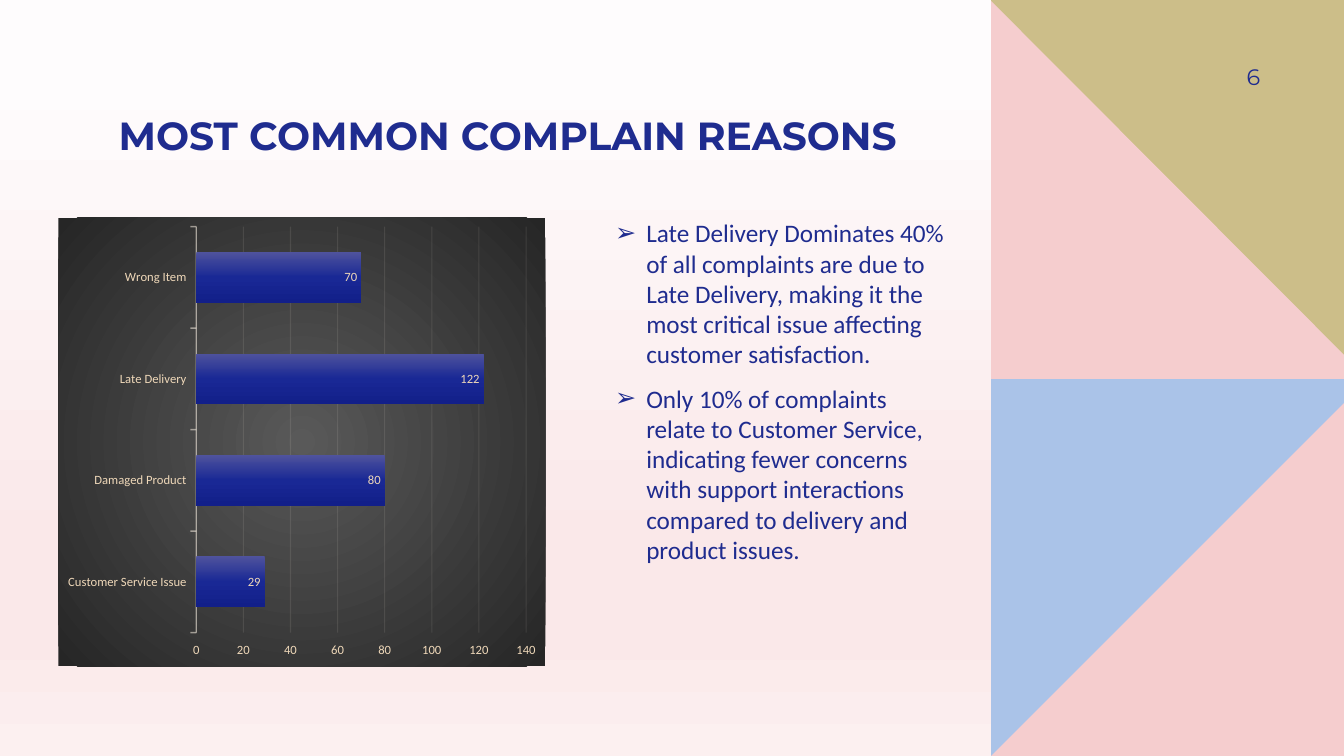
from lxml import etree
from pptx import Presentation
from pptx.chart.data import CategoryChartData
from pptx.dml.color import RGBColor
from pptx.enum.chart import XL_CHART_TYPE, XL_LABEL_POSITION, XL_TICK_MARK
from pptx.enum.text import MSO_ANCHOR, MSO_AUTO_SIZE, PP_ALIGN
from pptx.oxml.ns import qn
from pptx.util import Inches, Pt

BAR_CLUSTERED = XL_CHART_TYPE.BAR_CLUSTERED
INSIDE_END = XL_LABEL_POSITION.INSIDE_END
TICK_OUTSIDE = XL_TICK_MARK.OUTSIDE
NAVY = RGBColor(0x1F, 0x2C, 0x8F)
BLUE = RGBColor(0xAA, 0xC3, 0xE8)
PINK = RGBColor(0xF5, 0xCD, 0xCE)
OLIVE = RGBColor(0xCC, 0xBE, 0x89)
SAND = RGBColor(0xEF, 0xD8, 0xB9)
CREAM = RGBColor(0xF8, 0xEF, 0xE2)
BACKGROUND_STOPS = [
    (8, RGBColor(0xFE, 0xFC, 0xFD)),
    (74, RGBColor(0xFA, 0xE8, 0xE9)),
    (83, RGBColor(0xFA, 0xE8, 0xE9)),
    (100, RGBColor(0xFC, 0xF0, 0xF0)),
]
BAR_STOPS = [
    (0, RGBColor(0x4F, 0x53, 0x9D)),
    (50, RGBColor(0x19, 0x28, 0x95)),
    (100, RGBColor(0x12, 0x1F, 0x89)),
]
CHART_STOPS = [(0, RGBColor(0x59, 0x59, 0x59)), (100, RGBColor(0x26, 0x26, 0x26))]


def apply_gradient(properties, stops, circular=False):
    gradient = etree.Element(qn("a:gradFill"), rotWithShape="1")
    stop_list = etree.SubElement(gradient, qn("a:gsLst"))
    for position, color in stops:
        stop = etree.SubElement(stop_list, qn("a:gs"), pos=str(position * 1000))
        etree.SubElement(stop, qn("a:srgbClr"), val=str(color))
    if circular:
        direction = etree.SubElement(gradient, qn("a:path"), path="circle")
        etree.SubElement(direction, qn("a:fillToRect"), l="50000", t="50000", r="50000", b="50000")
    else:
        etree.SubElement(gradient, qn("a:lin"), ang="5400000", scaled="0")
    properties.replace(properties.find(qn("a:solidFill")), gradient)


def format_line(line, width, opacity):
    line.width = Pt(width)
    line.color.rgb = CREAM
    color = next(line.fill._xPr.iter(qn("a:srgbClr")))
    etree.SubElement(color, qn("a:alpha"), val=str(opacity * 1000))


presentation = Presentation()
presentation.slide_width = Inches(13.33)
presentation.slide_height = Inches(7.5)
slide = presentation.slides.add_slide(presentation.slide_layouts[1])
slide.background.fill.solid()
slide.background.fill.fore_color.rgb = PINK
apply_gradient(next(slide.element.iter(qn("p:bgPr"))), BACKGROUND_STOPS)

LEFT, RIGHT, MIDDLE, BOTTOM = 9.83, 13.33, 3.76, 7.5
side_panels = [
    (BLUE, [(LEFT, MIDDLE), (RIGHT, MIDDLE), (RIGHT, BOTTOM), (LEFT, BOTTOM)]),
    (PINK, [(RIGHT, 4), (RIGHT, BOTTOM), (LEFT, BOTTOM)]),
    (OLIVE, [(LEFT, 0), (RIGHT, 0), (RIGHT, MIDDLE), (LEFT, MIDDLE)]),
    (PINK, [(LEFT, 0.01), (RIGHT, 3.52), (RIGHT, MIDDLE), (LEFT, MIDDLE)]),
]
for color, corners in side_panels:
    points = [(Inches(x), Inches(y)) for x, y in corners]
    builder = slide.shapes.build_freeform(*points[0])
    builder.add_line_segments(points[1:])
    panel = builder.convert_to_shape()
    panel.shadow.inherit = False
    panel.fill.solid()
    panel.fill.fore_color.rgb = color
    panel.line.fill.background()

title = slide.shapes.title
body = slide.placeholders[1]
number = slide.shapes.add_textbox(0, 0, 0, 0)
text_blocks = [
    (title, (0.58, 0.76, 8.91, 0.81), MSO_ANCHOR.BOTTOM, PP_ALIGN.CENTER, "Montserrat", 28,
     ["MOST COMMON COMPLAIN REASONS"]),
    (number, (11.42, 0.5, 1.08, 0.52), MSO_ANCHOR.MIDDLE, PP_ALIGN.RIGHT, "Montserrat", 16, ["6"]),
    (body, (6, 2.16, 3.49, 4.45), MSO_ANCHOR.TOP, PP_ALIGN.LEFT, "Calibri", 18, [
        "Late Delivery Dominates 40% of all complaints are due to Late Delivery, "
        "making it the most critical issue affecting customer satisfaction.",
        "Only 10% of complaints relate to Customer Service, indicating fewer concerns "
        "with support interactions compared to delivery and product issues.",
    ]),
]
for shape, box, anchor, alignment, font_name, size, lines in text_blocks:
    shape.left, shape.top, shape.width, shape.height = map(Inches, box)
    frame = shape.text_frame
    frame.word_wrap = True
    frame.auto_size = MSO_AUTO_SIZE.NONE
    frame.vertical_anchor = anchor
    frame.margin_left = frame.margin_right = Inches(0.1)
    frame.margin_top = frame.margin_bottom = 0
    for index, line in enumerate(lines):
        paragraph = frame.add_paragraph() if index else frame.paragraphs[0]
        paragraph.alignment = alignment
        run = paragraph.add_run()
        run.text = line
        run.font.name = font_name
        run.font.size = Pt(size)
        run.font.bold = shape is title
        run.font.color.rgb = NAVY

number.text_frame.margin_right = 0
for paragraph in body.text_frame.paragraphs:
    paragraph.space_before = Pt(10)
    properties = paragraph._p.get_or_add_pPr()
    properties.set("marL", str(Inches(0.31)))
    properties.set("indent", str(-Inches(0.31)))
    etree.SubElement(properties, qn("a:buChar"), char="➢")

complaints = CategoryChartData()
complaints.categories = ["Customer Service Issue", "Damaged Product", "Late Delivery", "Wrong Item"]
complaints.add_series("Series 1", [29, 80, 122, 70])
chart = slide.shapes.add_chart(
    BAR_CLUSTERED, Inches(0.58), Inches(2.16), Inches(4.83), Inches(4.45), complaints
).chart
chart.has_legend = False
chart.has_title = False
chart.font.size = Pt(10)
chart.font.name = "Calibri"

chart_space = chart.element
chart_properties = etree.Element(qn("c:spPr"))
etree.SubElement(chart_properties, qn("a:solidFill"))
chart_line = etree.SubElement(chart_properties, qn("a:ln"))
etree.SubElement(chart_line, qn("a:noFill"))
apply_gradient(chart_properties, CHART_STOPS, circular=True)
chart_space.find(qn("c:chart")).addnext(chart_properties)

plot = chart.plots[0]
plot.gap_width = 100
plot.vary_by_categories = False
plot.has_data_labels = True
labels = plot.data_labels
labels.show_value = True
labels.position = INSIDE_END
bars = plot.series[0]
bars.format.fill.solid()
bars.format.fill.fore_color.rgb = NAVY
apply_gradient(bars.format.fill._xPr, BAR_STOPS)

category_axis = chart.category_axis
value_axis = chart.value_axis
for axis in (category_axis, value_axis):
    axis.major_tick_mark = TICK_OUTSIDE
for font in (category_axis.tick_labels.font, value_axis.tick_labels.font, labels.font):
    font.size = Pt(9)
    font.name = "Calibri"
    font.color.rgb = SAND
format_line(category_axis.format.line, 1, 54)
value_axis.minimum_scale = 0
value_axis.maximum_scale = 140
value_axis.major_unit = 20
value_axis.format.line.fill.background()
value_axis.has_major_gridlines = True
format_line(value_axis.major_gridlines.format.line, 0.75, 10)

presentation.save("out.pptx")
